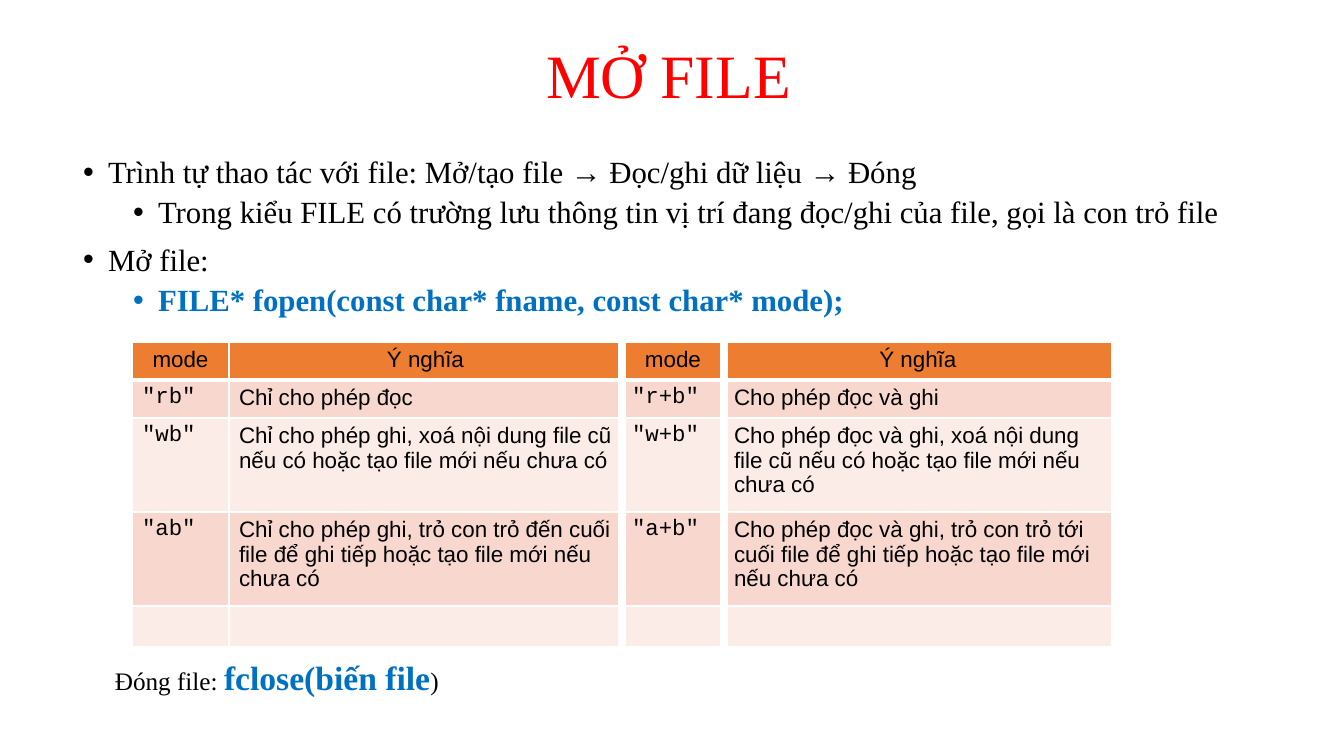
from pptx import Presentation
from pptx.dml.color import RGBColor
from pptx.enum.text import MSO_ANCHOR, MSO_AUTO_SIZE, PP_ALIGN
from pptx.oxml.ns import qn
from pptx.util import Pt
from lxml import etree

CENTER, LEFT = PP_ALIGN.CENTER, PP_ALIGN.LEFT
MIDDLE, TOP = MSO_ANCHOR.MIDDLE, MSO_ANCHOR.TOP
NO_FIT = MSO_AUTO_SIZE.NONE

SCALE = 914400 / 100.8  # EMU per pixel
SERIF, SANS, MONO = "Times New Roman", "Arial", "Courier New"
RED = RGBColor(0xFF, 0x00, 0x00)
BLUE = RGBColor(0x00, 0x70, 0xC0)
BLACK = RGBColor(0x00, 0x00, 0x00)
WHITE = RGBColor(0xFF, 0xFF, 0xFF)
ORANGE = RGBColor(0xED, 0x7D, 0x31)
PEACH = RGBColor(0xF8, 0xD7, 0xCE)
PALE = RGBColor(0xFC, 0xEC, 0xE8)

TITLE = "MỞ FILE"
# Level, text, colour, bold
POINTS = [
    (0, "Trình tự thao tác với file: Mở/tạo file → Đọc/ghi dữ liệu → Đóng", BLACK, False),
    (1, "Trong kiểu FILE có trường lưu thông tin vị trí đang đọc/ghi của file, "
        "gọi là con trỏ file", BLACK, False),
    (0, "Mở file:", BLACK, False),
    (1, "FILE* fopen(const char* fname, const char* mode);", BLUE, True),
]
MODES = [
    ("mode", "Ý nghĩa", "mode", "Ý nghĩa"),
    ('"rb"', "Chỉ cho phép đọc", '"r+b"', "Cho phép đọc và ghi"),
    ('"wb"', "Chỉ cho phép ghi, xoá nội dung file cũ nếu có hoặc tạo file mới nếu chưa có",
     '"w+b"', "Cho phép đọc và ghi, xoá nội dung file cũ nếu có hoặc tạo file mới nếu chưa có"),
    ('"ab"', "Chỉ cho phép ghi, trỏ con trỏ đến cuối file để ghi tiếp hoặc tạo file mới "
     "nếu chưa có",
     '"a+b"', "Cho phép đọc và ghi, trỏ con trỏ tới cuối file để ghi tiếp hoặc tạo file mới "
     "nếu chưa có"),
    ("", "", "", ""),
]
WIDTHS = (97, 393, 102, 388)
HEIGHTS = (38, 38, 94, 94, 41)
RULES = (1, 1, 6, 6, 1)  # upright rules in points, left to right


def px(count):
    return round(count * SCALE)


def place(shape, left, top, width, height):
    shape.left, shape.top = px(left), px(top)
    shape.width, shape.height = px(width), px(height)


def style(font, name, size, color, bold=False):
    font.name, font.size, font.bold = name, Pt(size), bold
    font.color.rgb = color


def add_title(slide):
    title = slide.shapes.title
    place(title, 89, 6, 1159, 146)
    frame = title.text_frame
    frame.text = TITLE
    frame.vertical_anchor, frame.auto_size = MIDDLE, NO_FIT
    line = frame.paragraphs[0]
    line.alignment, line.line_spacing = CENTER, 0.9
    style(line.font, SERIF, 44, RED)


def add_bullet(line, level):
    props = line._p.get_or_add_pPr()
    props.set("marL", str(px(25 + 50 * level)))
    props.set("indent", str(px(-25)))
    mark = etree.Element(qn("a:buFont"), typeface=SANS)
    dot = etree.Element(qn("a:buChar"), char="•")
    props.insert_element_before(mark, "a:defRPr")
    props.insert_element_before(dot, "a:defRPr")


def add_list(slide):
    body = slide.placeholders[1]
    place(body, 73, 152, 1159, 195)
    frame = body.text_frame
    frame.text = "\n".join(text for _, text, _, _ in POINTS)
    frame.vertical_anchor, frame.auto_size = TOP, NO_FIT
    for line, (level, _, color, bold) in zip(frame.paragraphs, POINTS):
        line.level, line.line_spacing = level, 0.9
        line.space_before = Pt(5 if level else 10)
        style(line.font, SERIF, 22, color, bold)
        add_bullet(line, level)


def add_rule(cell, side, width):
    props = cell._tc.get_or_add_tcPr()
    rule = etree.SubElement(props, qn("a:ln" + side), w=str(Pt(width)))
    fill = etree.SubElement(rule, qn("a:solidFill"))
    etree.SubElement(fill, qn("a:srgbClr"), val=str(WHITE))


def fill_cell(cell, row, col, text):
    # Borders come before the fill
    add_rule(cell, "L", RULES[col])
    add_rule(cell, "R", RULES[col + 1])
    add_rule(cell, "T", 3 if row == 1 else 1)
    add_rule(cell, "B", 3 if row == 0 else 1)
    cell.fill.solid()
    cell.fill.fore_color.rgb = ORANGE if row == 0 else (PALE, PEACH)[row % 2]
    cell.text = text
    line = cell.text_frame.paragraphs[0]
    line.alignment = CENTER if row == 0 else LEFT
    code = row > 0 and col % 2 == 0
    style(line.font, MONO if code else SANS, 16, BLACK)


def add_modes(slide):
    frame = slide.shapes.add_table(len(MODES), len(WIDTHS), 0, 0, px(1), px(1))
    place(frame, 132, 342, sum(WIDTHS), sum(HEIGHTS))
    table = frame.table
    for column, width in zip(table.columns, WIDTHS):
        column.width = px(width)
    for row, (height, texts) in enumerate(zip(HEIGHTS, MODES)):
        table.rows[row].height = px(height)
        for col, text in enumerate(texts):
            fill_cell(table.cell(row, col), row, col, text)


def add_note(slide):
    box = slide.shapes.add_textbox(px(105), px(652), px(347), px(50))
    box.text_frame.word_wrap = False
    line = box.text_frame.paragraphs[0]
    for text, size, color, bold in (
        ("Đóng file: ", 18, BLACK, False),
        ("fclose(biến file", 24, BLUE, True),
        (")", 18, BLACK, False),
    ):
        run = line.add_run()
        run.text = text
        style(run.font, SERIF, size, color, bold)


def main():
    deck = Presentation()
    deck.slide_width, deck.slide_height = px(1344), px(756)
    slide = deck.slides.add_slide(deck.slide_layouts[1])
    add_title(slide)
    add_list(slide)
    add_modes(slide)
    add_note(slide)
    deck.save("out.pptx")


main()
